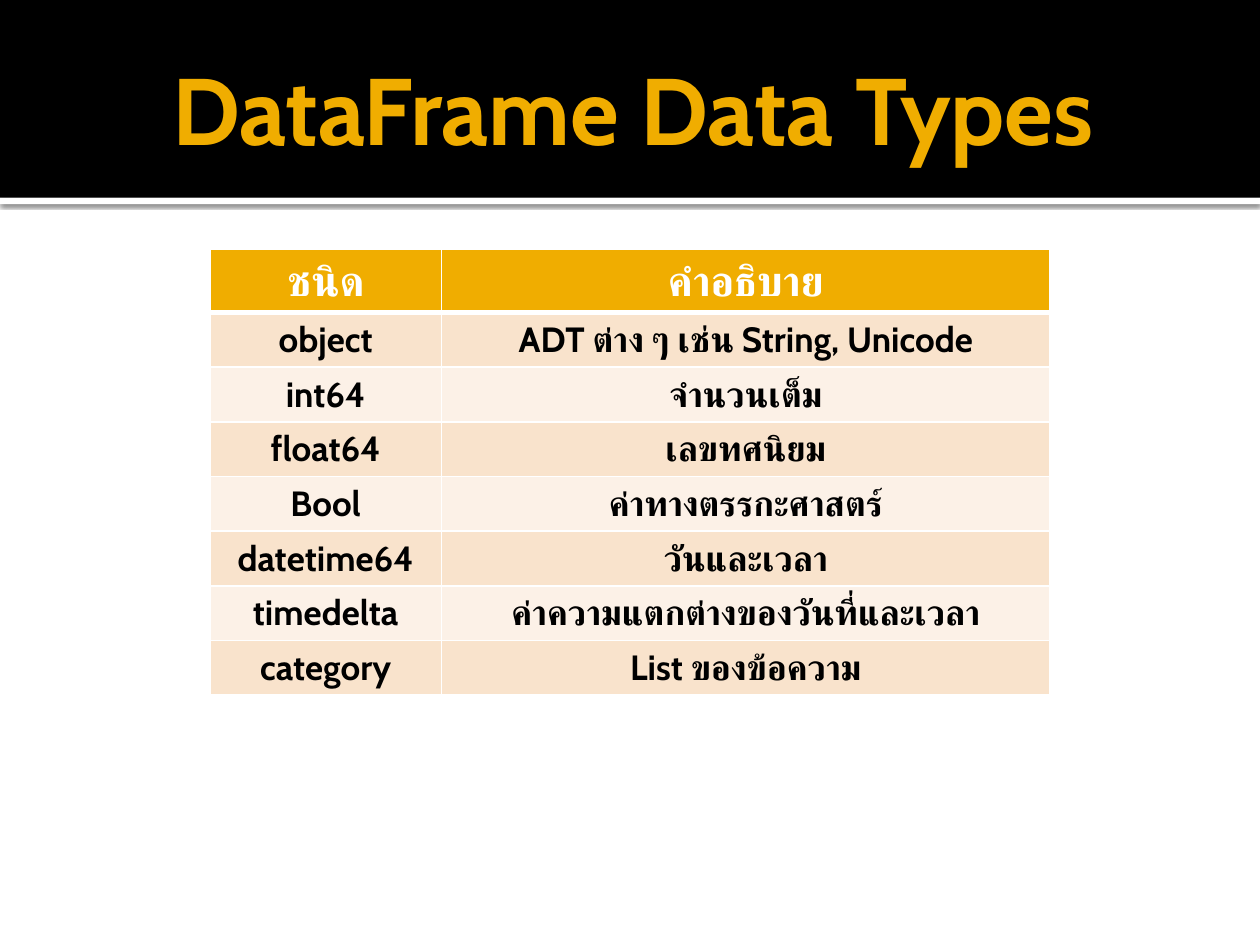
import dataclasses

import lxml.etree
import pptx
import pptx.dml.color
import pptx.enum.shapes
import pptx.enum.text
import pptx.oxml
import pptx.oxml.ns
import pptx.util

Inches, Pt = pptx.util.Inches, pptx.util.Pt
RGBColor = pptx.dml.color.RGBColor
qn = pptx.oxml.ns.qn

BLACK = RGBColor(0x00, 0x00, 0x00)
WHITE = RGBColor(0xFF, 0xFF, 0xFF)
AMBER = RGBColor(0xF0, 0xAD, 0x00)
PEACH = RGBColor(0xF9, 0xE3, 0xCC)
CREAM = RGBColor(0xFC, 0xF1, 0xE7)

FONT = "Cabin"
SLIDE_W, SLIDE_H = 10, 7.5
BAND_H = 1.57
COLUMN_WIDTHS = (1.84, 4.83)
ROW_H = 0.41
TABLE_TOP = 1.98


@dataclasses.dataclass
class DataType:
    name: str
    description: str


HEADER = DataType("ชนิด", "คำอธิบาย")
DATA_TYPES = [
    DataType("object", "ADT ต่าง ๆ เช่น String, Unicode"),
    DataType("int64", "จำนวนเต็ม"),
    DataType("float64", "เลขทศนิยม"),
    DataType("Bool", "ค่าทางตรรกะศาสตร์"),
    DataType("datetime64", "วันและเวลา"),
    DataType("timedelta", "ค่าความแตกต่างของวันที่และเวลา"),
    DataType("category", "List ของข้อความ"),
]


def write(tf, text: str, *, size: float, color: RGBColor) -> None:
    """Put bold centred text in a frame, with one font for Latin and Thai."""
    p = tf.paragraphs[0]
    p.alignment = pptx.enum.text.PP_ALIGN.CENTER
    r = p.add_run()
    r.text = text
    r.font.name, r.font.size, r.font.bold = FONT, Pt(size), True
    r.font.color.rgb = color
    cs = lxml.etree.SubElement(r.font._element, qn("a:cs"))
    cs.set("typeface", FONT)


def add_band(s, top: float, height: float, color: RGBColor):
    sp = s.shapes.add_shape(pptx.enum.shapes.MSO_SHAPE.RECTANGLE, 0,
                            Inches(top), Inches(SLIDE_W), Inches(height))
    sp.shadow.inherit = False
    sp.fill.solid()
    sp.fill.fore_color.rgb = color
    sp.line.fill.background()
    return sp


def add_drop_shadow(sp) -> None:
    effects = sp._element.spPr.find(qn("a:effectLst"))
    effects.append(pptx.oxml.parse_xml(
        f'<a:outerShdw {pptx.oxml.ns.nsdecls("a")} blurRad="{Pt(2.5)}" '
        f'dist="{Pt(0.8)}" dir="5400000" algn="tl" rotWithShape="0">'
        f'<a:srgbClr val="{BLACK}"><a:alpha val="60000"/></a:srgbClr>'
        '</a:outerShdw>'))


def set_borders(cell, bottom: float, top: float) -> None:
    """Draw white borders; they must come before the fill in the cell."""
    widths = {"lnL": 1, "lnR": 1, "lnT": top, "lnB": bottom}
    for i, (side, width) in enumerate(widths.items()):
        cell._tc.get_or_add_tcPr().insert(i, pptx.oxml.parse_xml(
            f'<a:{side} {pptx.oxml.ns.nsdecls("a")} w="{Pt(width)}">'
            f'<a:solidFill><a:srgbClr val="{WHITE}"/></a:solidFill>'
            f'</a:{side}>'))


def add_title(s, text: str) -> None:
    sp = s.shapes.add_textbox(Inches(0.5), Inches(0.17), Inches(9), Inches(1.37))
    tf = sp.text_frame
    tf.word_wrap = True
    tf.vertical_anchor = pptx.enum.text.MSO_ANCHOR.MIDDLE
    tf.margin_right = Inches(0.05)
    write(tf, text, size=54, color=AMBER)


def add_type_table(s, rows: list[DataType]) -> None:
    width = sum(COLUMN_WIDTHS)
    table = s.shapes.add_table(
        len(rows), len(COLUMN_WIDTHS), Inches((SLIDE_W - width) / 2),
        Inches(TABLE_TOP), Inches(width), Inches(ROW_H * len(rows))).table
    for column, column_width in zip(table.columns, COLUMN_WIDTHS):
        column.width = Inches(column_width)
    for i, row in enumerate(rows):
        is_header = i == 0
        fill = AMBER if is_header else (CREAM, PEACH)[i % 2]
        for cell, text in zip(table.rows[i].cells, dataclasses.astuple(row)):
            cell.fill.solid()
            cell.fill.fore_color.rgb = fill
            set_borders(cell, bottom=3 if is_header else 1, top=3 if i == 1 else 1)
            write(cell.text_frame, text, size=24 if is_header else 20,
                  color=WHITE if is_header else BLACK)


def main() -> None:
    prs = pptx.Presentation()
    prs.slide_width, prs.slide_height = Inches(SLIDE_W), Inches(SLIDE_H)
    s = prs.slides.add_slide(prs.slide_layouts[6])
    add_drop_shadow(add_band(s, BAND_H, 0.05, WHITE))
    add_band(s, 0, BAND_H, BLACK)
    add_title(s, "DataFrame Data Types")
    add_type_table(s, [HEADER, *DATA_TYPES])
    prs.save("out.pptx")


if __name__ == "__main__":
    main()
